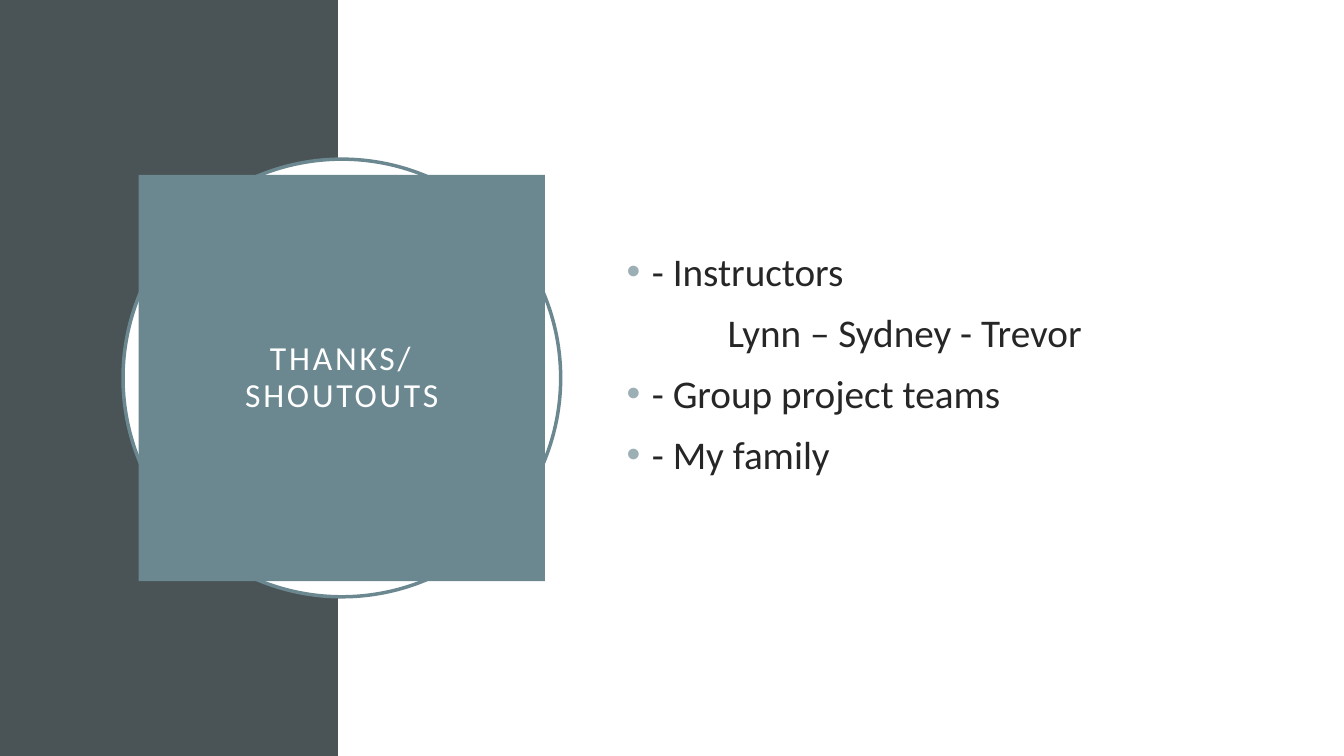
from lxml.etree import SubElement
from pptx import Presentation
from pptx.dml.color import RGBColor
from pptx.enum.shapes import MSO_SHAPE
from pptx.enum.text import MSO_ANCHOR, PP_ALIGN
from pptx.oxml.ns import qn
from pptx.util import Pt

SLATE, TEAL, WHITE, INK, BULLET = "4A5356", "6B8891", "FFFFFF", "262626", "9BAFB5"
THANKS = [
    ("- Instructors", True),
    ("Lynn – Sydney - Trevor", False),
    ("- Group project teams", True),
    ("- My family", True),
]


def color(hex_string):
    """Turn a hex string into a colour."""
    return RGBColor.from_string(hex_string)


def set_attributes(target, values):
    """Set each named value on the target."""
    for name, value in values.items():
        setattr(target, name, value)


def add_panel(slide, kind, box, fill, line=None):
    """Add a flat filled shape with an optional outline."""
    shape = slide.shapes.add_shape(kind, *map(Pt, box))
    shape.shadow.inherit = False
    shape.fill.solid()
    shape.fill.fore_color.rgb = color(fill)
    if line:
        shape.line.color.rgb = color(line)
        shape.line.width = Pt(2.5)
    else:
        shape.line.fill.background()
    return shape


def format_runs(paragraph, size, font_color):
    """Give every run of a paragraph its font."""
    for run in paragraph.runs:
        set_attributes(run.font, {"name": "Calibri", "size": Pt(size)})
        run.font.color.rgb = color(font_color)


def set_indent(paragraph, left, first_line=0):
    """Set the left and first-line indents and return the properties."""
    properties = paragraph._p.get_or_add_pPr()
    properties.set("marL", str(Pt(left)))
    properties.set("indent", str(Pt(first_line)))
    return properties


def add_bullet(paragraph, indent):
    """Give a paragraph a hanging round bullet."""
    properties = set_indent(paragraph, indent, -indent)
    bullet_color = SubElement(properties, qn("a:buClr"))
    SubElement(bullet_color, qn("a:srgbClr")).set("val", BULLET)
    SubElement(properties, qn("a:buFont")).set("typeface", "Arial")
    SubElement(properties, qn("a:buChar")).set("char", "•")


def build_background(slide, box, split):
    """Split the box into a dark left band and a white field."""
    left, top, width, height = box
    add_panel(slide, MSO_SHAPE.RECTANGLE, (left, top, split, height), SLATE)
    add_panel(slide, MSO_SHAPE.RECTANGLE, (left + split, top, width - split, height), WHITE)


def build_title(slide, box, inset):
    """Place a ringed circle in the box and the title square inside it."""
    left, top, width, height = box
    add_panel(slide, MSO_SHAPE.OVAL, box, WHITE, TEAL)
    inner = (left + inset, top + inset, width - 2 * inset, height - 2 * inset)
    frame = add_panel(slide, MSO_SHAPE.RECTANGLE, inner, TEAL).text_frame
    margins = {f"margin_{side}": Pt(14.4) for side in ("left", "top", "right", "bottom")}
    set_attributes(frame, {"word_wrap": True, "vertical_anchor": MSO_ANCHOR.MIDDLE, **margins})
    paragraph = frame.paragraphs[0]
    paragraph.text = "THANKS/\vSHOUTOUTS"
    set_attributes(paragraph, {"alignment": PP_ALIGN.CENTER, "line_spacing": 0.9})
    format_runs(paragraph, 24, WHITE)
    for run in paragraph.runs:
        run.font._element.set("spc", "200")


def build_thanks(slide, box):
    """List the people to thank, centred vertically in the box."""
    frame = slide.shapes.add_textbox(*map(Pt, box)).text_frame
    set_attributes(frame, {
        "word_wrap": True,
        "vertical_anchor": MSO_ANCHOR.MIDDLE,
        "margin_bottom": Pt(24.8),
    })
    for index, (text, bulleted) in enumerate(THANKS):
        paragraph = frame.add_paragraph() if index else frame.paragraphs[0]
        paragraph.add_run().text = text
        set_attributes(paragraph, {"alignment": PP_ALIGN.LEFT, "space_before": Pt(10)})
        format_runs(paragraph, 28, INK)
        if bulleted:
            add_bullet(paragraph, 18)
        else:
            set_indent(paragraph, 72)


def main():
    """Build and save the slide."""
    presentation = Presentation()
    set_attributes(presentation, {"slide_width": Pt(960), "slide_height": Pt(540)})
    slide = presentation.slides.add_slide(presentation.slide_layouts[6])
    build_background(slide, (0, 0, 960, 540), 241.6)
    build_title(slide, (87.9, 113.7, 312.6, 312.6), 11.2)
    build_thanks(slide, (440.6, 110.2, 419, 319))
    presentation.save("out.pptx")


if __name__ == "__main__":
    main()
